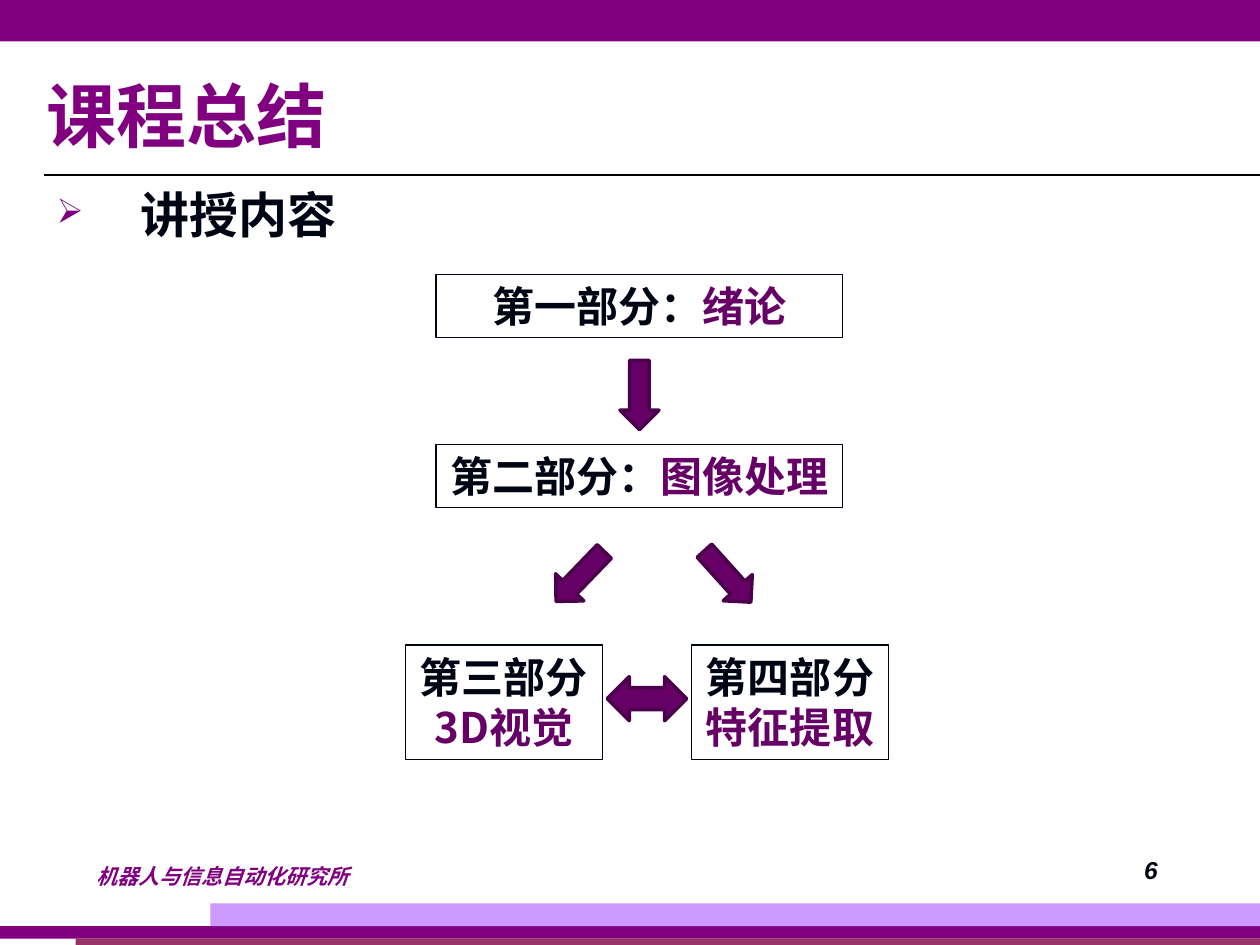
import lxml.etree
import pptx
import pptx.dml.color
import pptx.enum.shapes
import pptx.enum.text
import pptx.oxml.ns
import pptx.util

Inches = pptx.util.Inches
SHAPES = pptx.enum.shapes.MSO_SHAPE
ALIGN = pptx.enum.text.PP_ALIGN
ANCHOR = pptx.enum.text.MSO_ANCHOR

PURPLE, DARK_PURPLE, INK = "800080", "660066", "000514"
HEAD_FONT = "Noto Sans CJK SC"
TITLE = {"name": HEAD_FONT, "size": pptx.util.Pt(40), "bold": True}
TOPIC = {"name": HEAD_FONT, "size": pptx.util.Pt(28), "bold": True}
PART = {"name": HEAD_FONT, "size": pptx.util.Pt(24), "bold": True}
FOOTER = {"name": "Arial", "size": pptx.util.Pt(12), "bold": True, "italic": True}
PAGE_NUMBER = {**FOOTER, "size": pptx.util.Pt(14)}


def rgb(value):
    return pptx.dml.color.RGBColor.from_string(value)


def add_child(parent, tag, **attributes):
    return lxml.etree.SubElement(parent, pptx.oxml.ns.qn(tag), **attributes)


def place(shape, box):
    for side, length in zip(("left", "top", "width", "height"), box):
        setattr(shape, side, Inches(length))


def write(paragraph, text, style, color):
    run = paragraph.add_run()
    run.text = text
    for attribute, value in style.items():
        setattr(run.font, attribute, value)
    run.font.color.rgb = rgb(color)
    add_child(run.font._element, "a:ea", typeface=style["name"])


def add_shape(slide, kind, box, fill=None, line=None, line_width=0.75):
    shape = slide.shapes.add_shape(kind, *map(Inches, box))
    shape.shadow.inherit = False
    if fill:
        shape.fill.solid()
        shape.fill.fore_color.rgb = rgb(fill)
    else:
        shape.fill.background()
    if line:
        shape.line.color.rgb = rgb(line)
        shape.line.width = pptx.util.Pt(line_width)
    else:
        shape.line.fill.background()
    return shape


def add_text(slide, box, text, style, color, align=ALIGN.LEFT):
    frame = slide.shapes.add_textbox(*map(Inches, box)).text_frame
    frame.word_wrap = True
    paragraph = frame.paragraphs[0]
    paragraph.alignment = align
    write(paragraph, text, style, color)
    return paragraph


def add_bands(slide):
    bands = [
        ((0, 0, 10, 0.33), PURPLE),
        ((0, 7.35, 10, 0.1), PURPLE),
        ((0.6, 7.45, 9.4, 0.05), "993366"),
        ((1.67, 7.17, 8.33, 0.18), "CC99FF"),
    ]
    for box, color in bands:
        add_shape(slide, SHAPES.RECTANGLE, box, color)


def add_header(slide, box):
    left, top, width, height = box
    title = slide.shapes.title
    place(title, box)
    frame = title.text_frame
    frame.word_wrap = True
    frame.vertical_anchor = ANCHOR.MIDDLE
    frame.paragraphs[0].alignment = ALIGN.LEFT
    write(frame.paragraphs[0], "课程总结", TITLE, PURPLE)

    rule_y = Inches(top + height + 0.09)
    rule = slide.shapes.add_connector(
        pptx.enum.shapes.MSO_CONNECTOR.STRAIGHT,
        Inches(left + 0.08), rule_y, Inches(10), rule_y)
    rule.line.color.rgb = rgb("000000")
    rule.line.width = pptx.util.Pt(0.75)
    add_child(rule._element.spPr, "a:effectLst")


def add_topic(slide, box):
    topic = add_text(slide, box, "讲授内容", TOPIC, INK)
    properties = topic._p.get_or_add_pPr()
    properties.set("marL", str(Inches(0.67)))
    properties.set("indent", str(Inches(-0.67)))
    bullet_color = add_child(properties, "a:buClr")
    add_child(bullet_color, "a:srgbClr", val=PURPLE)
    add_child(properties, "a:buSzPct", val="70000")
    add_child(properties, "a:buChar", char="➢")
    topic.line_spacing = 0.9


def add_part(slide, box, label, subject):
    part = add_shape(slide, SHAPES.RECTANGLE, box, line=INK)
    frame = part.text_frame
    frame.word_wrap = True
    frame.vertical_anchor = ANCHOR.TOP
    paragraph = frame.paragraphs[0]
    paragraph.alignment = ALIGN.CENTER
    write(paragraph, label, PART, INK)
    write(paragraph, subject, PART, DARK_PURPLE)


def add_arrow(slide, kind, box, rotation=0):
    arrow = add_shape(slide, kind, box, DARK_PURPLE, "4B004B", 2)
    arrow.rotation = rotation


def add_course_map(slide, box):
    left, top, width, height = box
    wide, narrow = (3.23, 0.5), (1.56, 0.91)
    wide_left = left + 0.24
    lower_top = top + height - narrow[1]
    parts = [
        (wide_left, top, wide, "第一部分：", "绪论"),
        (wide_left, top + 1.35, wide, "第二部分：", "图像处理"),
        (left, lower_top, narrow, "第三部分", "3D视觉"),
        (left + width - narrow[0], lower_top, narrow, "第四部分", "特征提取"),
    ]
    for x, y, size, label, subject in parts:
        add_part(slide, (x, y, *size), label, subject)

    down_arrows = [(1.7, 0.68, 0), (1.23, 2.12, 44), (2.4, 2.12, 318)]
    for x, y, rotation in down_arrows:
        add_arrow(slide, SHAPES.DOWN_ARROW,
                  (left + x, top + y, 0.31, 0.55), rotation)
    add_arrow(slide, SHAPES.LEFT_RIGHT_ARROW,
              (left + 1.6, lower_top + 0.25, 0.63, 0.35))


def add_footer(slide, box):
    left, top, width, height = box
    institute = add_text(slide, (left, top + 0.08, 4.1, 0.29),
                         "机器人与信息自动化研究所", FOOTER, PURPLE)
    institute.line_spacing = 0.93
    add_text(slide, (left + width - 0.71, top, 0.71, height),
             "6", PAGE_NUMBER, INK, ALIGN.CENTER)


def main():
    deck = pptx.Presentation()
    deck.slide_width, deck.slide_height = Inches(10), Inches(7.5)
    slide = deck.slides.add_slide(deck.slide_layouts[5])
    add_bands(slide)
    add_header(slide, (0.27, 0.52, 8.66, 0.78))
    add_topic(slide, (0.35, 1.47, 9.21, 0.64))
    add_course_map(slide, (3.22, 2.18, 3.83, 3.85))
    add_footer(slide, (0.67, 6.74, 8.82, 0.33))
    deck.save("out.pptx")


if __name__ == "__main__":
    main()
